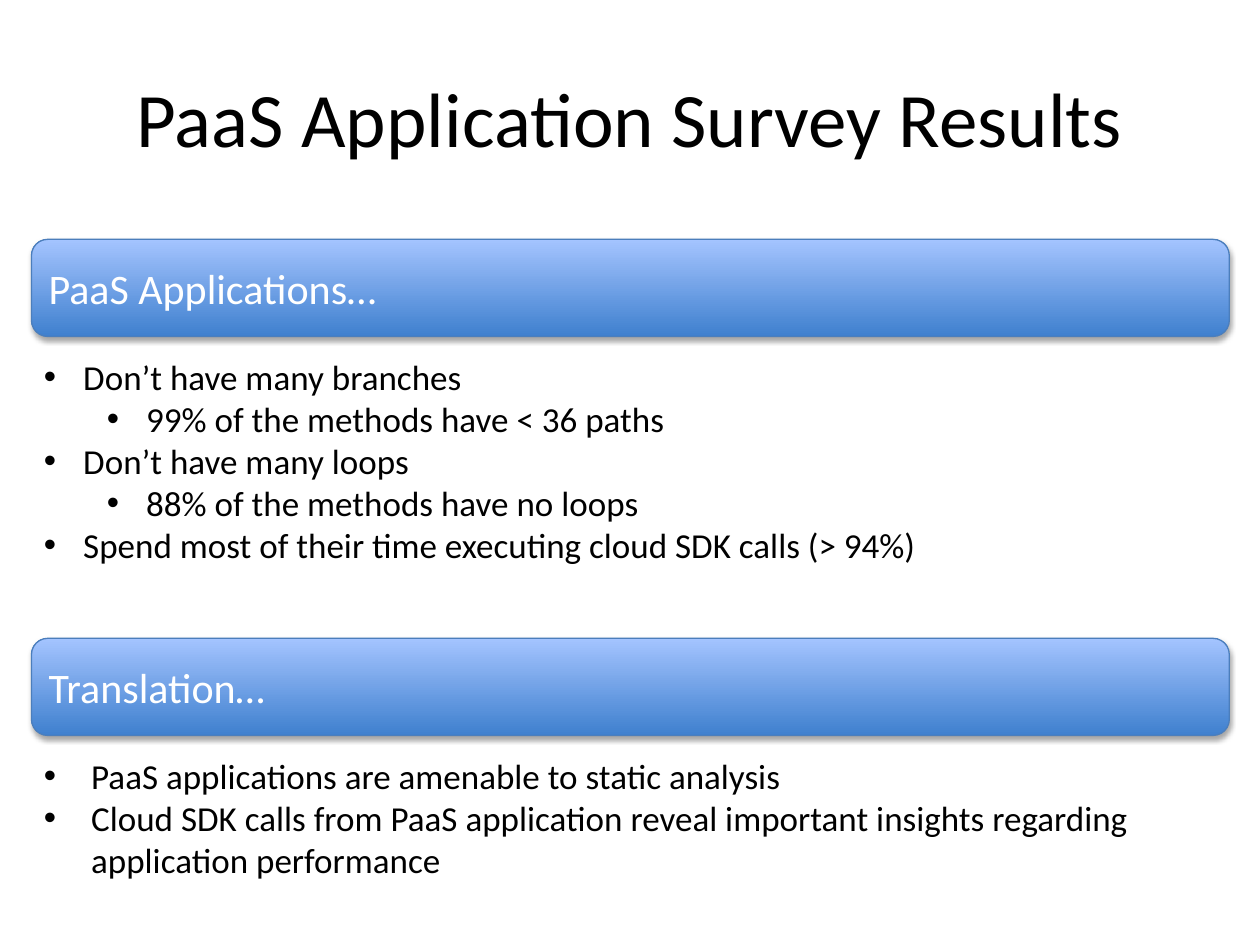
from lxml import etree
from pptx import Presentation
from pptx.dml.color import RGBColor
from pptx.enum import shapes, text
from pptx.oxml import ns
from pptx.util import Pt

BLACK = RGBColor(0x00, 0x00, 0x00)
WHITE = RGBColor(0xFF, 0xFF, 0xFF)
DARK_BLUE = RGBColor(0x3F, 0x80, 0xCE)
LIGHT_BLUE = RGBColor(0xA4, 0xC4, 0xFF)
LINE_BLUE = RGBColor(0x4B, 0x7E, 0xBC)

FONT = "Calibri"
LEFT, WIDTH = 18, 684.5
HEADER_HEIGHT, HEADER_GAP = 55.5, 7.5
LEVEL_STEP = 36

# Heading, top, body height, bullet indent, (level, wording) of each bullet
SECTIONS = [
    ("PaaS Applications…", 136.8, 128, 22.5, [
        (0, "Don’t have many branches"),
        (1, "99% of the methods have < 36 paths"),
        (0, "Don’t have many loops"),
        (1, "88% of the methods have no loops"),
        (0, "Spend most of their time executing cloud SDK calls (> 94%)"),
    ]),
    ("Translation…", 364.8, 80, 27, [
        (0, "PaaS applications are amenable to static analysis"),
        (0, "Cloud SDK calls from PaaS application reveal important insights "
            "regarding application performance"),
    ]),
]


def format_paragraph(paragraph, size, color, alignment):
    paragraph.alignment = alignment
    paragraph.font.name = FONT
    paragraph.font.size = Pt(size)
    paragraph.font.color.rgb = color


def add_bullet(paragraph, level, indent):
    paragraph.level = level
    properties = paragraph._p.get_or_add_pPr()
    properties.set("marL", str(Pt(indent + level * LEVEL_STEP)))
    properties.set("indent", str(-Pt(indent)))
    etree.SubElement(properties, ns.qn("a:buFont"), typeface="Arial")
    etree.SubElement(properties, ns.qn("a:buChar"), char="•")


def add_soft_shadow(shape):
    shape.shadow.inherit = False
    effects = shape._element.spPr.find(ns.qn("a:effectLst"))
    shadow = etree.SubElement(
        effects, ns.qn("a:outerShdw"), blurRad=str(Pt(3.1)),
        dist=str(Pt(1.8)), dir="5400000", rotWithShape="0")
    color = etree.SubElement(shadow, ns.qn("a:srgbClr"), val="000000")
    etree.SubElement(color, ns.qn("a:alpha"), val="35000")


def place_title(slide, left, top, width, height):
    title = slide.shapes.title
    title.left, title.top = Pt(left), Pt(top)
    title.width, title.height = Pt(width), Pt(height)
    title.text_frame.text = "PaaS Application Survey Results"
    title.text_frame.vertical_anchor = text.MSO_ANCHOR.MIDDLE
    format_paragraph(title.text_frame.paragraphs[0], 44, BLACK,
                     text.PP_ALIGN.CENTER)


def add_header(slide, heading, left, top, width, height):
    header = slide.shapes.add_shape(
        shapes.MSO_SHAPE.ROUNDED_RECTANGLE,
        Pt(left), Pt(top), Pt(width), Pt(height))
    header.fill.gradient()
    header.fill.gradient_angle = 90
    for stop, color in zip(header.fill.gradient_stops,
                           (DARK_BLUE, LIGHT_BLUE)):
        stop.color.rgb = color
    header.line.color.rgb = LINE_BLUE
    header.line.width = Pt(0.75)
    add_soft_shadow(header)
    header.text_frame.text = heading
    header.text_frame.vertical_anchor = text.MSO_ANCHOR.MIDDLE
    format_paragraph(header.text_frame.paragraphs[0], 24, WHITE,
                     text.PP_ALIGN.LEFT)


def add_bullets(slide, bullets, indent, left, top, width, height):
    box = slide.shapes.add_textbox(Pt(left), Pt(top), Pt(width), Pt(height))
    frame = box.text_frame
    frame.word_wrap = True
    frame.auto_size = text.MSO_AUTO_SIZE.SHAPE_TO_FIT_TEXT
    frame.text = "\n".join(wording for _, wording in bullets)
    for paragraph, (level, _) in zip(frame.paragraphs, bullets):
        format_paragraph(paragraph, 20, BLACK, text.PP_ALIGN.LEFT)
        add_bullet(paragraph, level, indent)


def main():
    presentation = Presentation()
    presentation.slide_width, presentation.slide_height = Pt(720), Pt(540)
    slide = presentation.slides.add_slide(presentation.slide_layouts[5])

    # Title
    place_title(slide, 36, 21.6, 648, 90)

    # Header bars, each with its bullets below
    for heading, top, body_height, indent, bullets in SECTIONS:
        add_header(slide, heading, LEFT, top, WIDTH, HEADER_HEIGHT)
        add_bullets(slide, bullets, indent, LEFT,
                    top + HEADER_HEIGHT + HEADER_GAP, WIDTH, body_height)

    presentation.save("out.pptx")


if __name__ == "__main__":
    main()
